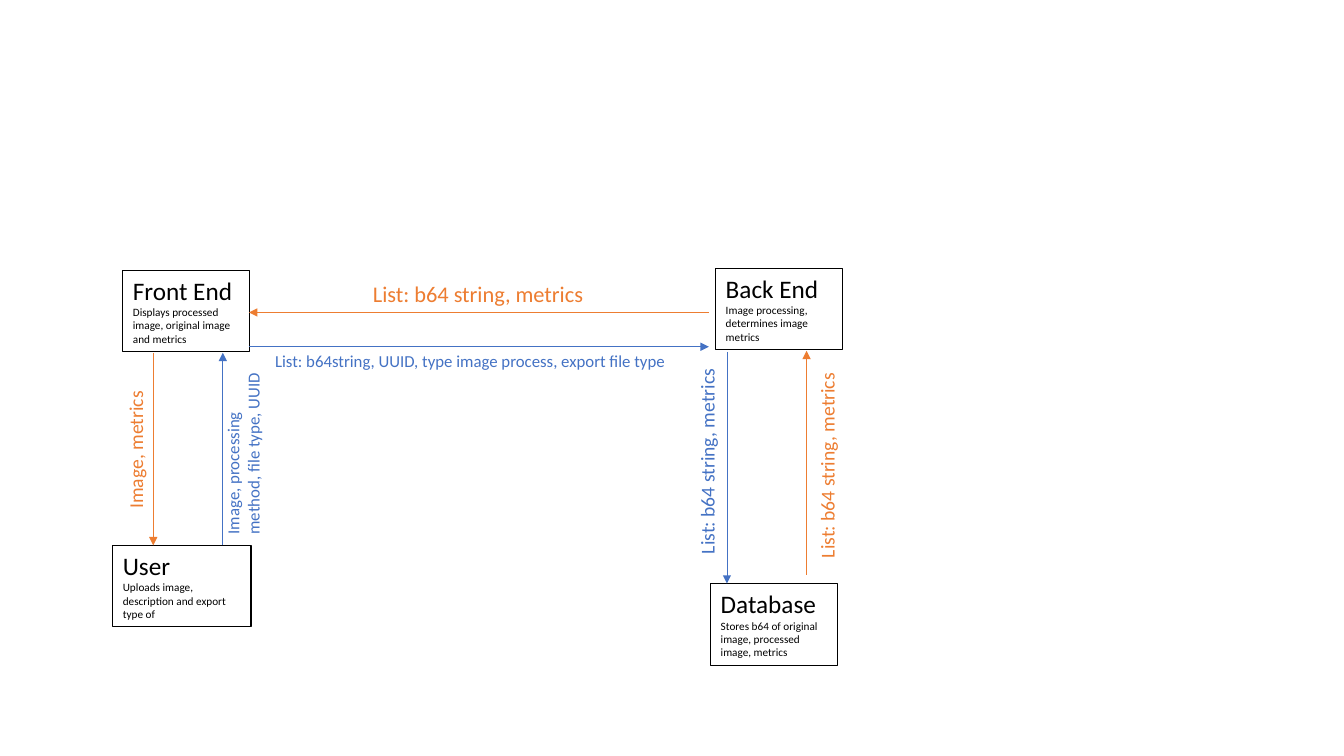
from dataclasses import dataclass

from lxml.etree import SubElement
from pptx import Presentation
from pptx.dml.color import RGBColor
from pptx.enum.shapes import MSO_CONNECTOR, MSO_SHAPE
from pptx.enum.text import MSO_ANCHOR, MSO_AUTO_SIZE, PP_ALIGN
from pptx.oxml.ns import qn
from pptx.util import Pt

EMU_PER_PX = 9144
BLANK_LAYOUT = 6


@dataclass(frozen=True)
class Theme:
    font: str = "Calibri"
    ink: RGBColor = RGBColor(0x00, 0x00, 0x00)
    request: RGBColor = RGBColor(0x44, 0x72, 0xC4)
    response: RGBColor = RGBColor(0xED, 0x7D, 0x31)
    heading: int = 18
    detail: int = 8
    small_label: int = 12
    label: int = 14
    large_label: int = 16
    box_line: float = 0.75
    arrow_line: float = 0.5


THEME = Theme()

COMPONENTS = [
    ((122, 268, 126, 81), "Front End", "Displays processed image, original image and metrics"),
    ((112, 541, 137, 81), "User", "Uploads image, description and export type of"),
    ((710, 266, 126, 81), "Back End", "Image processing, determines image metrics"),
    ((705, 579, 126, 81), "Database", "Stores b64 of original image, processed image, metrics"),
]

ARROWS = [
    ((221, 541), (221, 350), THEME.request),
    ((247, 344), (703, 344), THEME.request),
    ((721, 349), (721, 579), THEME.request),
    ((703, 310), (247, 310), THEME.response),
    ((800, 570), (800, 348), THEME.response),
    ((152, 350), (152, 541), THEME.response),
]

LABELS = [
    ((146, 420, 190, 50), 270, "Image, processing method, file type, UUID", THEME.small_label, THEME.request),
    ((263, 343, 411, 30), 0, "List: b64string, UUID, type image process, export file type",
     THEME.small_label, THEME.request),
    ((360, 273, 268, 37), 0, "List: b64 string, metrics", THEME.large_label, THEME.response),
    ((597, 438, 209, 34), 270, "List: b64 string, metrics", THEME.label, THEME.request),
    ((716, 442, 209, 34), 270, "List: b64 string, metrics", THEME.label, THEME.response),
    ((49, 412, 171, 34), 270, "Image, metrics", THEME.label, THEME.response),
]


def px(*lengths):
    return [length * EMU_PER_PX for length in lengths]


def set_attributes(target, values):
    for name, value in values.items():
        setattr(target, name, value)


def write_text(shape, lines, color):
    text_frame = shape.text_frame
    set_attributes(text_frame, {
        "word_wrap": True,
        "auto_size": MSO_AUTO_SIZE.SHAPE_TO_FIT_TEXT,
        "vertical_anchor": MSO_ANCHOR.TOP,
    })
    text_frame.text = "\n".join(text for text, size in lines)
    for paragraph, (text, size) in zip(text_frame.paragraphs, lines):
        paragraph.alignment = PP_ALIGN.LEFT
        font = paragraph.runs[0].font
        set_attributes(font, {"name": THEME.font, "size": Pt(size)})
        font.color.rgb = color


def add_component(slide, bounds, heading, detail):
    shape = slide.shapes.add_shape(MSO_SHAPE.RECTANGLE, *px(*bounds))
    shape.shadow.inherit = False
    shape.fill.background()
    shape.line.color.rgb = THEME.ink
    shape.line.width = Pt(THEME.box_line)
    write_text(shape, [(heading, THEME.heading), (detail, THEME.detail)], THEME.ink)


def add_arrow(slide, start, end, color):
    connector = slide.shapes.add_connector(MSO_CONNECTOR.STRAIGHT, *px(*start, *end))
    connector.line.color.rgb = color
    connector.line.width = Pt(THEME.arrow_line)
    SubElement(connector.line._get_or_add_ln(), qn("a:tailEnd"), type="triangle")
    SubElement(connector._element.spPr, qn("a:effectLst"))


def add_label(slide, bounds, rotation, text, size, color):
    label = slide.shapes.add_textbox(*px(*bounds))
    label.rotation = rotation
    write_text(label, [(text, size)], color)


def main():
    presentation = Presentation()
    slide_width, slide_height = px(1333, 750)
    set_attributes(presentation, {"slide_width": slide_width, "slide_height": slide_height})
    slide = presentation.slides.add_slide(presentation.slide_layouts[BLANK_LAYOUT])
    for component in COMPONENTS:
        add_component(slide, *component)
    for arrow in ARROWS:
        add_arrow(slide, *arrow)
    for label in LABELS:
        add_label(slide, *label)
    presentation.save("out.pptx")


if __name__ == "__main__":
    main()
